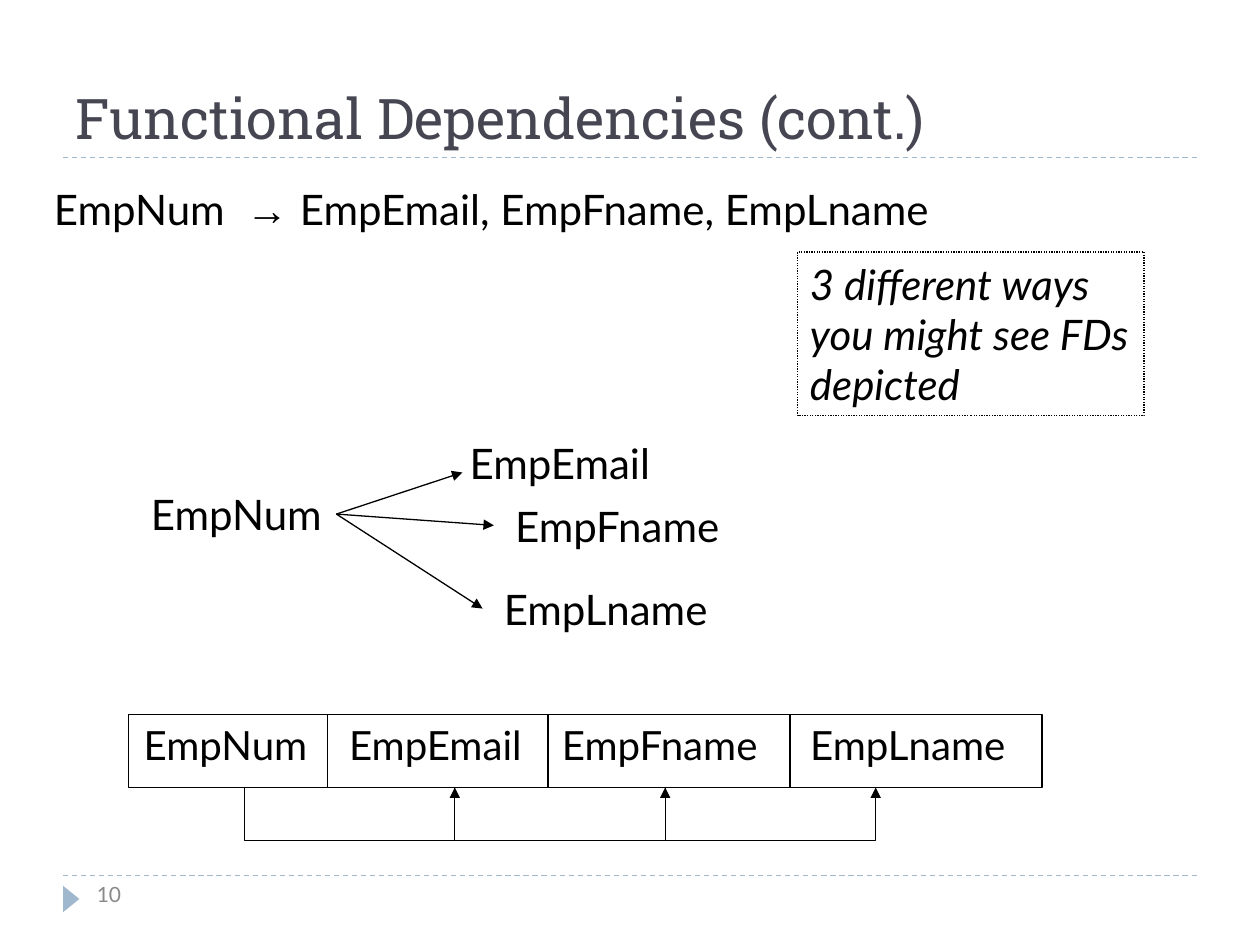
"""Build the slide on three ways of depicting functional dependencies."""
from lxml.etree import SubElement
from pptx import Presentation
from pptx.dml.color import RGBColor
from pptx.enum.dml import MSO_LINE as Dash
from pptx.enum.shapes import MSO_CONNECTOR as Connector, MSO_SHAPE as Shape
from pptx.enum.text import MSO_ANCHOR as Anchor, PP_ALIGN as Align
from pptx.oxml.ns import qn
from pptx.util import Inches, Pt

TITLE = "Functional Dependencies (cont.)"
PAGE = "10"
NOTE = "3 different ways you might see FDs depicted"
FORMULA = [("EmpNum  ", "Lato"), ("→ ", "Arial"), ("EmpEmail, EmpFname, EmpLname", "Lato")]
FAN_LABELS = [
    ("EmpNum", 1.1, 3.83, 1.67),
    ("EmpEmail", 3.63, 3.42, 1.76),
    ("EmpFname", 3.99, 3.92, 1.97),
    ("EmpLname", 3.9, 4.58, 1.97),
]
FAN_START = (2.67, 4.08)
FAN_ENDS = [(3.67, 3.75), (3.92, 4.17), (3.83, 4.83)]
COLUMNS = [("EmpNum", 1.58, 0.12), ("EmpEmail", 1.75, 0.17),
           ("EmpFname", 1.92, 0.11), ("EmpLname", 2, 0.16)]
ROW_LEFT, ROW_TOP, ROW_HEIGHT = 1.02, 5.67, 0.58
BRACKET_LEFT, BRACKET_STEP, BRACKET_DROP = 1.94, 1.67, 0.42
RULE_YS = (1.25, 6.95)
BLACK, BLUE, SLATE, GRAY = "000000", "9FB8CD", "464653", "898989"


def color(hex_value):
    return RGBColor.from_string(hex_value)


def style_line(line, hex_value=BLACK, dash=None, arrow=False):
    line.color.rgb = color(hex_value)
    line.width = Pt(0.75)
    if dash:
        line.dash_style = dash
    if arrow:
        SubElement(line._get_or_add_ln(), qn("a:tailEnd"), type="triangle")


def write(frame, runs, size, hex_value=BLACK, italic=None, wrap=True,
          anchor=Anchor.TOP, left=0.1):
    frame.word_wrap = wrap
    frame.vertical_anchor = anchor
    frame.margin_left, frame.margin_right = Inches(left), Inches(0.1)
    frame.margin_top = frame.margin_bottom = Inches(0.05)
    paragraph = frame.paragraphs[0]
    paragraph.alignment = Align.LEFT
    for text, font_name in runs:
        run = paragraph.add_run()
        run.text = text
        run.font.name = font_name
        run.font.size = Pt(size)
        run.font.italic = italic
        run.font.color.rgb = color(hex_value)


def add_label(shapes, box, runs, size, **options):
    label = shapes.add_textbox(*map(Inches, box))
    write(label.text_frame, runs, size, **options)


def add_line(shapes, start, end, **options):
    line = shapes.add_connector(Connector.STRAIGHT, *map(Inches, (*start, *end)))
    SubElement(line._element.spPr, qn("a:effectLst"))
    style_line(line.line, **options)


def add_outline(shapes, box, dash=None):
    outline = shapes.add_shape(Shape.RECTANGLE, *map(Inches, box))
    outline.shadow.inherit = False
    outline.fill.background()
    style_line(outline.line, dash=dash)
    return outline.text_frame


def add_bracket(shapes, left):
    top, right = ROW_TOP + ROW_HEIGHT, left + BRACKET_STEP
    bottom = top + BRACKET_DROP
    builder = shapes.build_freeform(Inches(left), Inches(top))
    corners = [(left, bottom), (right, bottom), (right, top)]
    builder.add_line_segments([(Inches(x), Inches(y)) for x, y in corners], close=False)
    bracket = builder.convert_to_shape()
    bracket.shadow.inherit = False
    bracket.fill.background()
    style_line(bracket.line, arrow=True)


def add_frame(slide):
    shapes = slide.shapes
    for y in RULE_YS:
        add_line(shapes, (0.5, y), (9.5, y), hex_value=BLUE, dash=Dash.DASH)
    marker = shapes.add_shape(Shape.ISOSCELES_TRIANGLE, *map(Inches, (0.46, 7.07, 0.21, 0.13)))
    marker.rotation = 90
    marker.shadow.inherit = False
    marker.fill.solid()
    marker.fill.fore_color.rgb = color(BLUE)
    marker.line.fill.background()
    title = shapes.title
    title.left, title.top, title.width, title.height = map(Inches, (0.5, 0.25, 9, 1))
    write(title.text_frame, [(TITLE, "Roboto Slab")], 32, SLATE, anchor=Anchor.BOTTOM)
    add_label(shapes, (0.67, 6.95, 2.17, 0.4), [(PAGE, "Lato")], 12, hex_value=GRAY)


def add_fan(shapes):
    for name, left, top, width in FAN_LABELS:
        add_label(shapes, (left, top, width, 0.5), [(name, "Lato")], 24, wrap=False)
    for end in FAN_ENDS:
        add_line(shapes, FAN_START, end, arrow=True)


def add_relation(shapes):
    left = ROW_LEFT
    for name, width, inset in COLUMNS:
        cell = add_outline(shapes, (left, ROW_TOP, width, ROW_HEIGHT))
        write(cell, [(name, "Lato")], 23, left=inset, wrap=False)
        left += width
    for index in range(len(COLUMNS) - 1):
        add_bracket(shapes, BRACKET_LEFT + index * BRACKET_STEP)


def main():
    deck = Presentation()
    deck.slide_width, deck.slide_height = Inches(10), Inches(7.5)
    slide = deck.slides.add_slide(deck.slide_layouts[5])
    add_frame(slide)
    add_label(slide.shapes, (0.33, 1.41, 7.44, 0.9), FORMULA, 24)
    add_fan(slide.shapes)
    add_relation(slide.shapes)
    note = add_outline(slide.shapes, (6.33, 2, 2.75, 1.3), Dash.ROUND_DOT)
    write(note, [(NOTE, "Lato")], 24, italic=True)
    deck.save("out.pptx")


if __name__ == "__main__":
    main()
